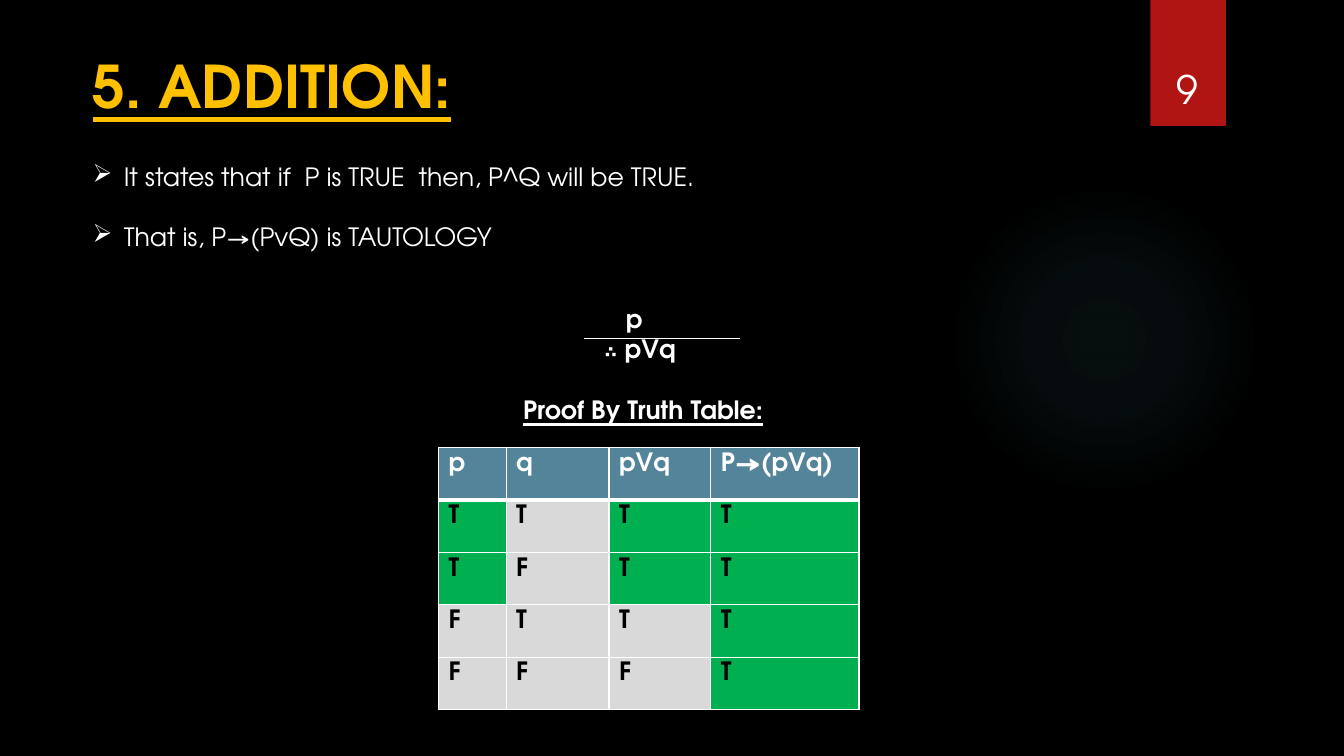
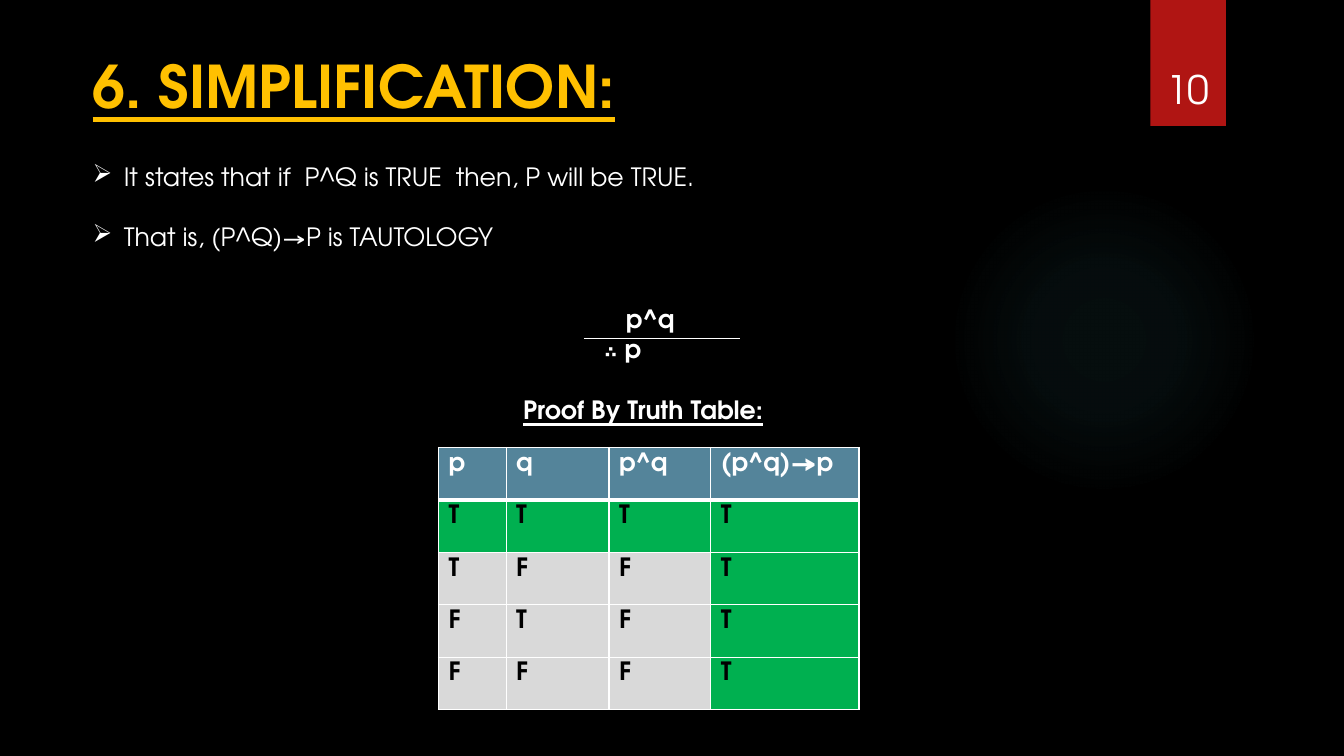
"""Build two slides on rules of inference, each with a truth table."""
from itertools import product
from lxml.etree import SubElement
from pptx import Presentation
from pptx.dml.color import RGBColor
from pptx.enum.shapes import MSO_CONNECTOR, MSO_SHAPE
from pptx.enum.text import MSO_ANCHOR, PP_ALIGN
from pptx.oxml import parse_xml
from pptx.oxml.ns import nsdecls, qn
from pptx.util import Inches, Pt

COLORS = {name: RGBColor.from_string(value) for name, value in {
    "black": "000000", "white": "FFFFFF", "gold": "FFC000", "red": "B01513",
    "header": "54849A", "true": "00B050", "plain": "D9D9D9"}.items()}
GLOW = "50B9C1"
GLOW_STOPS = [(0, 7), (36, 6), (69, 0)]
FONT = "TeX Gyre Adventor"
TITLE = {"size": Pt(42), "bold": True, "underline": True}
BODY = {"size": Pt(18)}
STRONG = {"size": Pt(18), "bold": True}
HEADING = {**STRONG, "underline": True}
NUMBER = {"size": Pt(28)}
MARGIN = 0.82
COLUMNS = [0.67, 1.02, 1.01, 1.47]
ROW = 0.52
RULES = [
    {"number": 9, "title": "5. ADDITION:",
     "points": ["It states that if  P is TRUE  then, P^Q will be TRUE.",
                "That is, P→(PvQ) is TAUTOLOGY"],
     "premise": "p", "conclusion": "∴ pVq",
     "head": ["p", "q", "pVq", "P→(pVq)"],
     "combine": max, "marked": [0, 2]},
    {"number": 10, "title": "6. SIMPLIFICATION:",
     "points": ["It states that if  P^Q is TRUE  then, P will be TRUE.",
                "That is, (P^Q)→P is TAUTOLOGY"],
     "premise": "p^q", "conclusion": "∴ p",
     "head": ["p", "q", "p^q", "(p^q)→p"],
     "combine": min, "marked": [0, 1, 2]},
]


def write(para, text, style, color="white"):
    span = para.add_run()
    span.text = text
    for name, value in {"name": FONT, **style}.items():
        setattr(span.font, name, value)
    span.font.color.rgb = COLORS[color]


def add_lines(page, area, lines, anchor=MSO_ANCHOR.TOP):
    frame = page.shapes.add_textbox(*map(Inches, area)).text_frame
    frame.word_wrap = True
    frame.vertical_anchor = anchor
    for index, (text, style, color, layout) in enumerate(lines):
        para = frame.add_paragraph() if index else frame.paragraphs[0]
        write(para, text, style, color)
        for name, value in layout.items():
            if name == "left":
                para._p.get_or_add_pPr().set("marL", str(Inches(value)))
            elif name == "bullet":
                properties = para._p.get_or_add_pPr()
                properties.set("indent", str(-Inches(layout["left"])))
                SubElement(properties, qn("a:buChar")).set("char", value)
            else:
                setattr(para, name, value)


deck = Presentation()
deck.slide_width, deck.slide_height = Inches(13.33), Inches(7.5)

for rule in RULES:
    page = deck.slides.add_slide(deck.slide_layouts[6])
    page.background.fill.solid()
    page.background.fill.fore_color.rgb = COLORS["black"]

    glow = page.shapes.add_shape(MSO_SHAPE.OVAL, *map(Inches, (9.41, 1.83, 3.08, 3.08)))
    band = page.shapes.add_shape(MSO_SHAPE.RECTANGLE, *map(Inches, (11.41, 0, 0.75, 1.25)))
    for shape in (glow, band):
        shape.shadow.inherit = False
        shape.line.fill.background()
    band.fill.solid()
    band.fill.fore_color.rgb = COLORS["red"]
    stops = "".join(
        f'<a:gs pos="{place * 1000}"><a:srgbClr val="{GLOW}">'
        f'<a:alpha val="{opacity * 1000}"/></a:srgbClr></a:gs>'
        for place, opacity in GLOW_STOPS)
    glow._element.spPr.find(qn("a:prstGeom")).addnext(parse_xml(
        f'<a:gradFill {nsdecls("a")}><a:gsLst>{stops}</a:gsLst><a:path path="circle">'
        '<a:fillToRect l="50000" t="50000" r="50000" b="50000"/></a:path></a:gradFill>'))

    add_lines(page, (MARGIN, 0.44, 9.33, 0.98), [(rule["title"], TITLE, "gold", {})])
    bullet = {"line_spacing": 2.0, "left": 0.31, "bullet": "➢"}
    add_lines(page, (MARGIN, 1.25, 12.23, 1.31),
              [(point, BODY, "white", bullet) for point in rule["points"]])
    add_lines(page, (3.32, 2.96, 6.65, 1.31), [
        (rule["premise"], STRONG, "white", {"left": 2.79}),
        (rule["conclusion"], STRONG, "white", {"left": 2.57}),
        ("Proof By Truth Table:", HEADING, "white", {"left": 1.77, "space_before": Pt(22)})])
    add_lines(page, (11.32, 0.32, 0.92, 0.84),
              [(str(rule["number"]), NUMBER, "white", {"alignment": PP_ALIGN.CENTER})],
              MSO_ANCHOR.BOTTOM)

    truths = [(p, q, rule["combine"](p, q), True) for p, q in product([True, False], repeat=2)]
    rows = [rule["head"]] + [["FT"[truth] for truth in line] for line in truths]
    table = page.shapes.add_table(len(rows), len(COLUMNS), *map(
        Inches, (4.35, 4.44, sum(COLUMNS), ROW * len(rows)))).table
    table.horz_banding = False
    for column, width in zip(table.columns, COLUMNS):
        column.width = Inches(width)
    for index, values in enumerate(rows):
        table.rows[index].height = Inches(ROW)
        holds = all(values[column] == "T" for column in rule["marked"])
        for column, value in enumerate(values):
            cell = table.cell(index, column)
            write(cell.text_frame.paragraphs[0], value, STRONG, "black" if index else "white")
            for side in "LRTB":
                thick = (index, side) in [(0, "B"), (1, "T")]
                cell._tc.get_or_add_tcPr().append(parse_xml(
                    f'<a:ln{side} {nsdecls("a")} w="{Pt(3 if thick else 1)}"><a:solidFill>'
                    f'<a:srgbClr val="{COLORS["white"]}"/></a:solidFill></a:ln{side}>'))
            green = column == len(COLUMNS) - 1 or holds and column in rule["marked"]
            cell.fill.solid()
            cell.fill.fore_color.rgb = COLORS[
                "header" if index == 0 else "true" if green else "plain"]

    bar = page.shapes.add_connector(
        MSO_CONNECTOR.STRAIGHT, *map(Inches, (5.79, 3.36, 7.34, 3.36)))
    bar.line.color.rgb = COLORS["white"]
    bar.line.width = Pt(0.75)
    SubElement(bar._element.spPr, qn("a:effectLst"))

deck.save("out.pptx")
